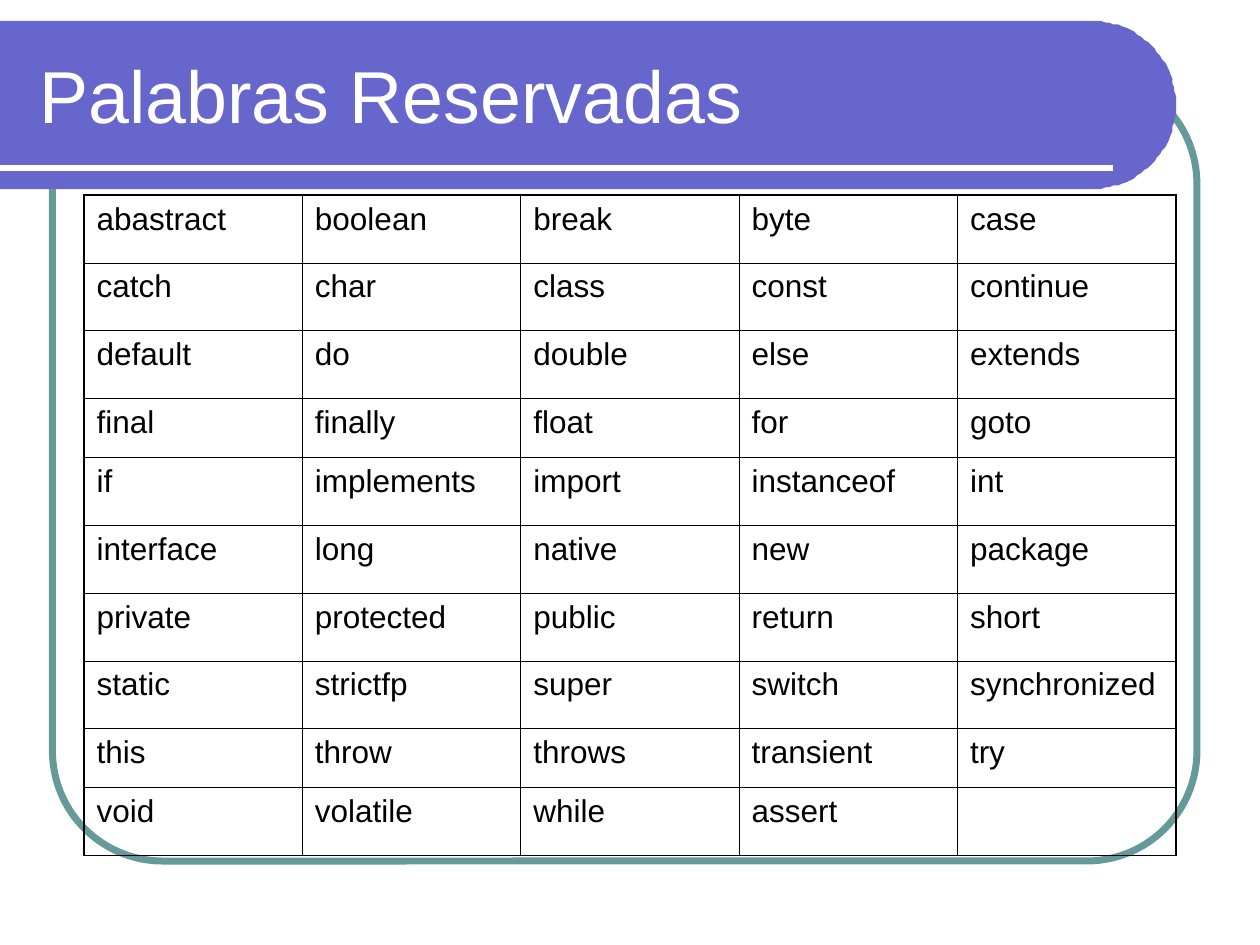
from math import cos, pi, sin

from lxml.etree import SubElement
from pptx import Presentation
from pptx.dml.color import RGBColor
from pptx.enum.shapes import MSO_CONNECTOR as Connector
from pptx.enum.shapes import MSO_SHAPE as Shape
from pptx.enum.text import MSO_ANCHOR as Anchor
from pptx.oxml.ns import qn
from pptx.util import Pt

BLACK = RGBColor(0x00, 0x00, 0x00)
WHITE = RGBColor(0xFF, 0xFF, 0xFF)
TEAL = RGBColor(0x66, 0x99, 0x99)
VIOLET = RGBColor(0x66, 0x66, 0xCC)

KEYWORDS = [
    ["abastract", "boolean", "break", "byte", "case"],
    ["catch", "char", "class", "const", "continue"],
    ["default", "do", "double", "else", "extends"],
    ["final", "finally", "float", "for", "goto"],
    ["if", "implements", "import", "instanceof", "int"],
    ["interface", "long", "native", "new", "package"],
    ["private", "protected", "public", "return", "short"],
    ["static", "strictfp", "super", "switch", "synchronized"],
    ["this", "throw", "throws", "transient", "try"],
    ["void", "volatile", "while", "assert", ""],
]
TALL_ROW, SHORT_ROW = 38.7, 33.9
SHORT_ROWS = (3, 8)


def write_text(frame, text, *, font, size, color, anchor=Anchor.TOP, before=0):
    frame.word_wrap = True
    frame.vertical_anchor = anchor
    paragraph = frame.paragraphs[0]
    paragraph.space_before = Pt(before)
    run = paragraph.add_run()
    run.text = text
    run.font.name = font
    run.font.size = Pt(size)
    run.font.color.rgb = color


class SlideBuilder:
    font = "Arial"
    title_size = 42
    cell_size = 18
    outer_border = 1.08
    inner_border = 0.45

    def __init__(self, slide):
        self.slide = slide

    def frame(self, left, top, width, height, *, corner, color, weight):
        frame = self.slide.shapes.add_shape(
            Shape.ROUNDED_RECTANGLE, Pt(left), Pt(top), Pt(width), Pt(height))
        frame.adjustments[0] = corner
        frame.shadow.inherit = False
        frame.fill.background()
        frame.line.color.rgb = color
        frame.line.width = Pt(weight)

    def banner(self, left, top, width, height, *, color, steps=60):
        radius = height / 2
        center_x, center_y = left + width - radius, top + radius
        angles = [pi * (step / steps - 0.5) for step in range(steps + 1)]
        arc = [(center_x + radius * cos(a), center_y + radius * sin(a)) for a in angles]
        outline = self.slide.shapes.build_freeform(left, top, scale=float(Pt(1)))
        outline.add_line_segments(arc + [(left, top + height)], close=True)
        banner = outline.convert_to_shape()
        banner.shadow.inherit = False
        banner.fill.solid()
        banner.fill.fore_color.rgb = color
        banner.line.fill.background()

    def rule(self, left, right, y, *, color, weight):
        rule = self.slide.shapes.add_connector(
            Connector.STRAIGHT, Pt(left), Pt(y), Pt(right), Pt(y))
        rule.line.color.rgb = color
        rule.line.width = Pt(weight)
        SubElement(rule._element.spPr, qn("a:effectLst"))

    def title(self, text, left, top, width, height, *, color):
        title = self.slide.shapes.add_textbox(Pt(left), Pt(top), Pt(width), Pt(height))
        write_text(title.text_frame, text, font=self.font, size=self.title_size,
                   color=color, anchor=Anchor.MIDDLE)

    def border(self, cell, side, weight, color):
        line = SubElement(cell._tc.get_or_add_tcPr(), qn(f"a:ln{side}"), w=str(Pt(weight)))
        fill = SubElement(line, qn("a:solidFill"))
        SubElement(fill, qn("a:srgbClr"), val=str(color))

    def table(self, rows, left, top, width, heights, *, color):
        row_count, column_count = len(rows), len(rows[0])
        table = self.slide.shapes.add_table(
            row_count, column_count, Pt(left), Pt(top), Pt(width), Pt(sum(heights))).table
        table.first_row = table.horz_banding = False
        for column in table.columns:
            column.width = Pt(width / column_count)
        for r, (words, height) in enumerate(zip(rows, heights)):
            table.rows[r].height = Pt(height)
            for c, word in enumerate(words):
                cell = table.cell(r, c)
                outer_sides = {"L": c == 0, "R": c == column_count - 1,
                               "T": r == 0, "B": r == row_count - 1}
                for side, is_outer in outer_sides.items():
                    weight = self.outer_border if is_outer else self.inner_border
                    self.border(cell, side, weight, color)
                cell.fill.background()
                if word:
                    write_text(cell.text_frame, word, font=self.font,
                               size=self.cell_size, color=color, before=4.5)


def main():
    deck = Presentation()
    deck.slide_width, deck.slide_height = Pt(720), Pt(540)
    builder = SlideBuilder(deck.slides.add_slide(deck.slide_layouts[6]))
    builder.frame(30, 42, 654, 450, corner=0.14, color=TEAL, weight=4)
    builder.banner(0, 12, 672, 96, color=VIOLET)
    builder.rule(0, 636, 96, color=WHITE, weight=3)
    builder.title("Palabras Reservadas", 15.4, 18, 631.4, 72, color=WHITE)
    heights = [SHORT_ROW if r in SHORT_ROWS else TALL_ROW for r in range(len(KEYWORDS))]
    builder.table(KEYWORDS, 48, 111.6, 624, heights, color=BLACK)
    deck.save("out.pptx")


if __name__ == "__main__":
    main()
